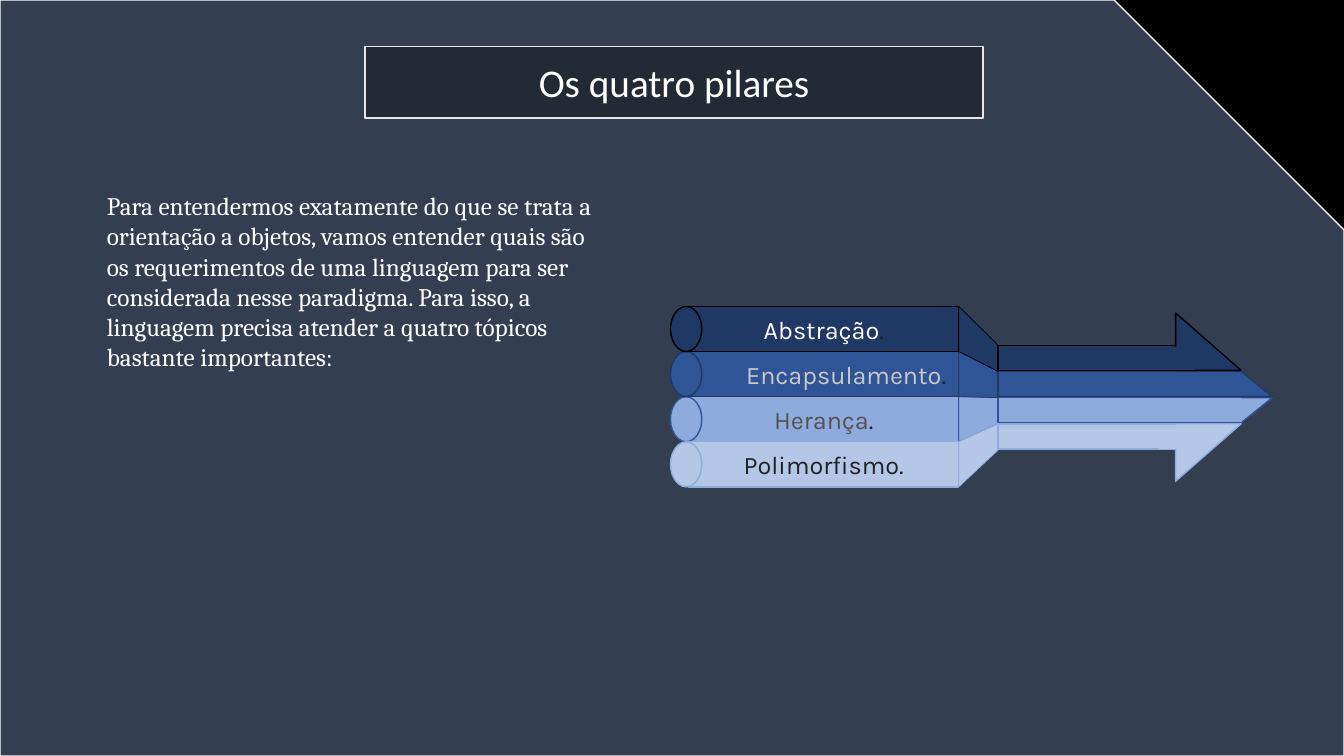
import pptx
import pptx.util
import pptx.dml.color
import pptx.enum.shapes
import pptx.enum.text
import lxml.etree
from pptx.oxml.ns import qn

Inches = pptx.util.Inches
Pt = pptx.util.Pt
Kind = pptx.enum.shapes.MSO_SHAPE
Align = pptx.enum.text.PP_ALIGN
Anchor = pptx.enum.text.MSO_ANCHOR

COLORS = {
    "black": "000000", "white": "FFFFFF", "slate": "333F50",
    "title": "222A35", "frame": "E7E6E6", "ink": "202124",
    "gray": "525252", "silver": "C9C9C9", "navy": "203864",
    "blue": "2F5597", "sky": "8FAADC", "pale": "B4C7E7",
}
PILLARS = [
    ("navy", "black", [("Abstração", "white"), (".", "ink")]),
    ("blue", "navy", [("Encapsulamento", "silver"), (".", "ink")]),
    ("sky", "blue", [("Herança", "gray"), (".", "ink")]),
    ("pale", "sky", [("Polimorfismo.", "ink")]),
]
DRAW_ORDER = (2, 3, 1, 0)


def rgb(name):
    """Return the named colour."""
    return pptx.dml.color.RGBColor.from_string(COLORS[name])


def paint(shape, fill, line, width=1):
    """Set the fill and outline of a shape."""
    shape.shadow.inherit = False
    shape.fill.solid()
    shape.fill.fore_color.rgb = rgb(fill)
    shape.line.color.rgb = rgb(line)
    shape.line.width = Pt(width)


def put(shape, box):
    """Move a shape to a box given in inches."""
    shape.left, shape.top, shape.width, shape.height = map(Inches, box)


def add_part(page, kind, box, fill, line):
    """Add a painted preset shape in a box given in inches."""
    part = page.shapes.add_shape(kind, *map(Inches, box))
    paint(part, fill, line)
    return part


def write(shape, runs, font, size, align, anchor=Anchor.MIDDLE):
    """Write coloured runs as the one paragraph of a shape."""
    frame = shape.text_frame
    frame.word_wrap = True
    frame.auto_size = pptx.enum.text.MSO_AUTO_SIZE.NONE
    frame.vertical_anchor = anchor
    para = frame.paragraphs[0]
    para.alignment = align
    para.space_before = Pt(0)
    for text, color in runs:
        span = para.add_run()
        span.text = text
        span.font.name = font
        span.font.size = Pt(size)
        span.font.color.rgb = rgb(color)
    return para


def add_polygon(page, points, fill, line, width=1):
    """Draw a closed outline through points given in inches."""
    corners = [(Inches(x), Inches(y)) for x, y in points]
    builder = page.shapes.build_freeform(*corners[0])
    builder.add_line_segments(corners[1:], close=True)
    paint(builder.convert_to_shape(), fill, line, width)


def add_backdrop(page, box):
    """Lay the panel with a cut corner behind everything."""
    panel = add_part(page, Kind.SNIP_1_RECTANGLE, box, "slate", "white")
    panel.adjustments[0] = 0.304
    page.shapes.element.insert(2, panel.element)


def add_title(page, box):
    """Fill the framed title."""
    title = page.shapes.title
    put(title, box)
    title.fill.solid()
    title.fill.fore_color.rgb = rgb("title")
    title.line.color.rgb = rgb("frame")
    title.line.width = Pt(1)
    write(title, [("Os quatro pilares", "white")], "Calibri", 28, Align.CENTER)


def add_intro(page, box):
    """Fill the body with the introduction, without a bullet."""
    body = page.placeholders[1]
    put(body, box)
    text = (
        "Para entendermos exatamente do que se trata a orientação a objetos, "
        "vamos entender quais são os requerimentos de uma linguagem para ser "
        "considerada nesse paradigma. Para isso, a linguagem precisa atender "
        "a quatro tópicos bastante importantes:"
    )
    para = write(body, [(text, "white")], "Cambria", 18, Align.LEFT, Anchor.TOP)
    settings = para._p.get_or_add_pPr()
    settings.set("marL", "0")
    settings.set("indent", "0")
    lxml.etree.SubElement(settings, qn("a:buNone"))


def add_pillar(page, box, index):
    """Draw one labelled bar with its round end."""
    left, top, width, height = box
    fill, line, runs = PILLARS[index]
    bar_box = (left + 0.18, top, width - 0.18, height)
    bar = add_part(page, Kind.RECTANGLE, bar_box, fill, line)
    para = write(bar, runs, "Karla", 18, Align.CENTER)
    if index == 1:
        para.alignment = Align.LEFT
        bar.text_frame.margin_left = Inches(0.57)
        bar.text_frame.margin_right = 0
    add_part(page, Kind.OVAL, (left, top, 0.31, height), fill, line)


def add_shaft(page, box, index):
    """Draw one shaft and its share of the arrowhead."""
    left, top, width, height = box
    fill, line, _ = PILLARS[index]
    neck_end, shoulder = left + 1.76, left + 2.41
    if index in (0, 3):
        barb = 0.57
        head_top = top + height - barb if index == 0 else top
        shaft_box = (left, top, neck_end - left, height)
        head_box = (neck_end, head_top, shoulder - neck_end, barb)
        cover_box = (neck_end - 0.16, top + 0.02, 0.35, height - 0.03)
    else:
        shaft_box = (left, top, shoulder - left, height)
        head_box = (shoulder, top, left + width - shoulder, height)
        cover_box = (left + 0.02, top + 0.01, 2.39, height - 0.02)
    add_part(page, Kind.RECTANGLE, shaft_box, fill, line)
    head = add_part(page, Kind.RIGHT_TRIANGLE, head_box, fill, line)
    if index >= 2:
        head.element.spPr.get_or_add_xfrm().set("flipV", "1")
    add_part(page, Kind.RECTANGLE, cover_box, fill, fill)


def add_arrow(page, box):
    """Draw four pillars that merge into one arrow."""
    left, top, width, height = box
    bar_height, shaft_height, shaft_pitch = height / 4, 0.25, 0.26
    bar_right, shaft_left = left + 2.86, left + 3.25
    middle = top + height / 2 + 0.01
    for index in DRAW_ORDER:
        fill, line, _ = PILLARS[index]
        bar_top = top + index * bar_height
        shaft_top = middle + (index - 2) * shaft_pitch
        add_pillar(page, (left, bar_top, 2.86, bar_height), index)
        neck = [(bar_right, bar_top), (shaft_left, shaft_top),
                (shaft_left, shaft_top + shaft_pitch),
                (bar_right, bar_top + bar_height)]
        add_polygon(page, neck, fill, line, 0.5)
        shaft_box = (shaft_left, shaft_top, left + width - shaft_left, shaft_height)
        add_shaft(page, shaft_box, index)


def main():
    """Build and save the deck."""
    deck = pptx.Presentation()
    deck.slide_width, deck.slide_height = Inches(13.33), Inches(7.5)
    page = deck.slides.add_slide(deck.slide_layouts[1])
    page.background.fill.solid()
    page.background.fill.fore_color.rgb = rgb("black")
    add_backdrop(page, (0, 0, 13.33, 7.5))
    add_title(page, (3.62, 0.46, 6.13, 0.71))
    add_intro(page, (0.96, 1.84, 5.08, 2.22))
    add_arrow(page, (6.65, 3.04, 5.97, 1.79))
    deck.save("out.pptx")


if __name__ == "__main__":
    main()
